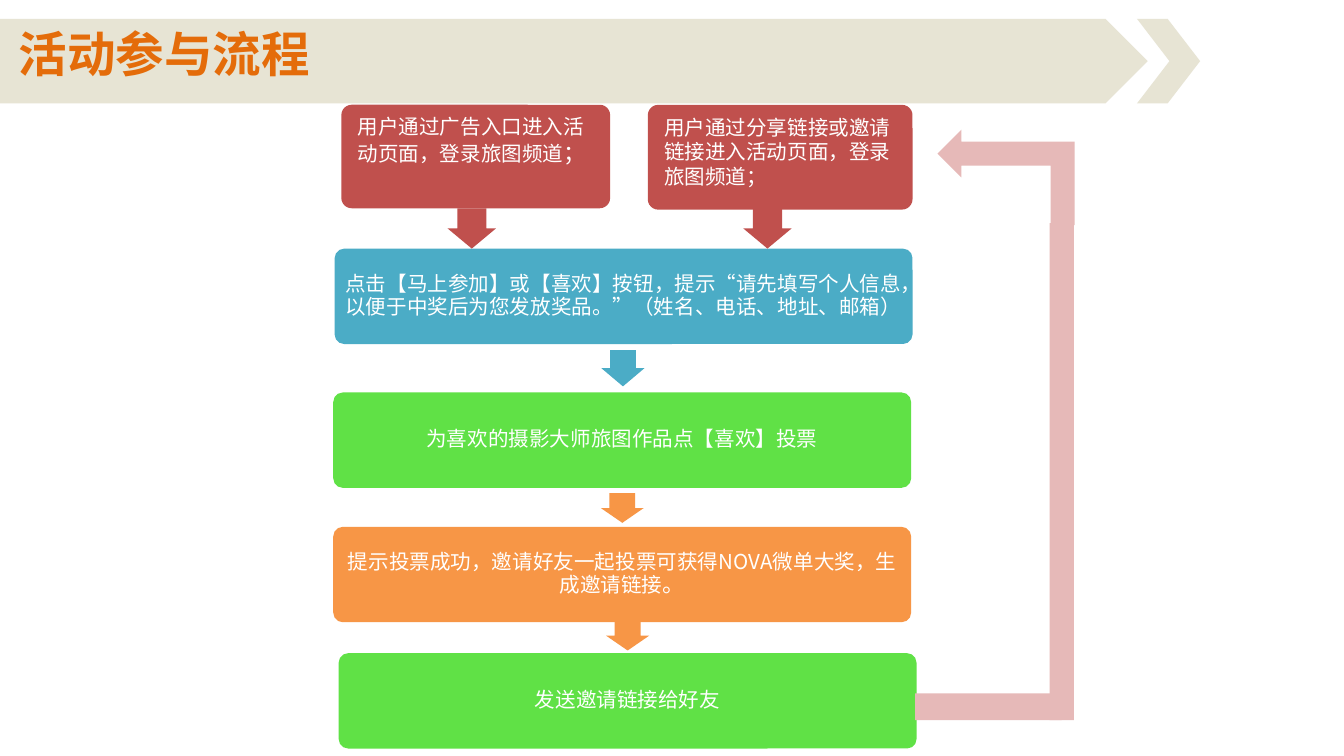
from lxml import etree
from pptx import Presentation
from pptx.dml.color import RGBColor
from pptx.enum.shapes import MSO_SHAPE as Shape
from pptx.enum.text import MSO_ANCHOR as Anchor, PP_ALIGN as Align
from pptx.oxml.ns import qn
from pptx.util import Inches, Pt

FONT = "Noto Sans CJK SC"
WHITE = RGBColor(0xFF, 0xFF, 0xFF)
BEIGE = RGBColor(0xDD, 0xD9, 0xC3)
TITLE_ORANGE = RGBColor(0xE4, 0x6C, 0x0A)
RED = RGBColor(0xC0, 0x50, 0x4D)
TEAL = RGBColor(0x4B, 0xAC, 0xC6)
GREEN = RGBColor(0x60, 0xE1, 0x46)
ORANGE = RGBColor(0xF7, 0x96, 0x46)
PINK = RGBColor(0xE6, 0xB9, 0xB8)

# Widescreen 16:9 page
deck = Presentation()
deck.slide_width = Inches(10)
deck.slide_height = Inches(10) * 9 // 16
page = deck.slides.add_slide(deck.slide_layouts[6])


def add_block(kind, place, color, adjustments=(), rotation=0):
    block = page.shapes.add_shape(kind, *map(Inches, place))
    block.shadow.inherit = False
    block.fill.solid()
    block.fill.fore_color.rgb = color
    block.line.fill.background()
    block.rotation = rotation
    for index, value in enumerate(adjustments):
        block.adjustments[index] = value
    return block


def write_text(box, parts, color=WHITE, bold=False, align=Align.LEFT, anchor=Anchor.TOP):
    frame = box.text_frame
    frame.word_wrap = True
    frame.vertical_anchor = anchor
    para = frame.paragraphs[0]
    para.alignment = align
    for text, size in parts:
        span = para.add_run()
        span.text = text
        span.font.size = Pt(size)
        span.font.bold = bold
        span.font.name = FONT
        span.font.color.rgb = color
        etree.SubElement(span.font._element, qn("a:ea"), typeface=FONT)


# Title banner with translucent arrow shapes
for kind, place, adjustments in [
    (Shape.PENTAGON, (0, 0.14, 8.54, 0.63), ()),
    (Shape.CHEVRON, (8.46, 0.14, 0.47, 0.63), (0.515,)),
]:
    banner = add_block(kind, place, BEIGE, adjustments)
    fill_color = banner._element.spPr.find(qn("a:solidFill"))[0]
    etree.SubElement(fill_color, qn("a:alpha"), val="70000")

title = page.shapes.add_textbox(Inches(0.04), Inches(0.13), Inches(7.95), Inches(0.54))
write_text(title, [("活动参与流程", 26)], TITLE_ORANGE, bold=True)

# Steps: a coloured card with a centred text box on it
steps = [
    (2.49, 1.85, TEAL, [("点击【马上参加】或【喜欢】按钮，提示“请先填写个人信息，以便于中奖后为您发放奖品。”（姓名、电话、地址、邮箱）", 11)]),
    (2.48, 2.92, GREEN, [("为喜欢的摄影大师旅图作品点【喜欢】投票", 11)]),
    (2.48, 3.92, ORANGE, [("提示投票成功，邀请好友一起投票可获得NOVA微单大奖，生成邀请链接", 11), ("。", 12)]),
    (2.52, 4.86, GREEN, [("发送邀请链接给好友", 11)]),
]
for left, top, color, parts in steps:
    add_block(Shape.ROUNDED_RECTANGLE, (left, top, 4.3, 0.71), color, (0.1,))
    box = page.shapes.add_textbox(
        Inches(left + 0.02), Inches(top + 0.02), Inches(4.26), Inches(0.67))
    frame = box.text_frame
    frame.margin_left = frame.margin_right = Inches(0.05)
    frame.margin_top = frame.margin_bottom = Inches(0.05)
    write_text(box, parts, align=Align.CENTER, anchor=Anchor.MIDDLE)
    frame.paragraphs[0].line_spacing = 0.9

# Two ways in
entries = [
    ((2.54, 0.78, 2, 0.77), [("用户通过广告入口进入活动页面，登录旅图频道", 11), ("；", 12)]),
    ((4.82, 0.78, 1.97, 0.78), [("用户通过分享链接或邀请链接进入活动页面，登录旅图频道；", 11)]),
]
for place, parts in entries:
    write_text(add_block(Shape.ROUNDED_RECTANGLE, place, RED, (0.1,)), parts)

# Downward arrows between the steps
for place, color in [
    ((3.36, 1.52, 0.3, 0.36), RED),
    ((5.56, 1.52, 0.3, 0.36), RED),
    ((4.5, 2.58, 0.27, 0.32), TEAL),
    ((4.52, 3.62, 0.22, 0.32), ORANGE),
    ((4.56, 4.57, 0.22, 0.32), ORANGE),
]:
    add_block(Shape.RIGHT_ARROW, place, color, (0.6, 0.5), 90)

# Return path from the last step to the shared-link entry
add_block(Shape.BENT_UP_ARROW, (7.13, 0.81, 0.71, 1.02), PINK, rotation=270)
add_block(Shape.RECTANGLE, (7.81, 1.66, 0.18, 3.7), PINK)
add_block(Shape.RECTANGLE, (6.81, 5.16, 1.09, 0.2), PINK)

deck.save("out.pptx")
